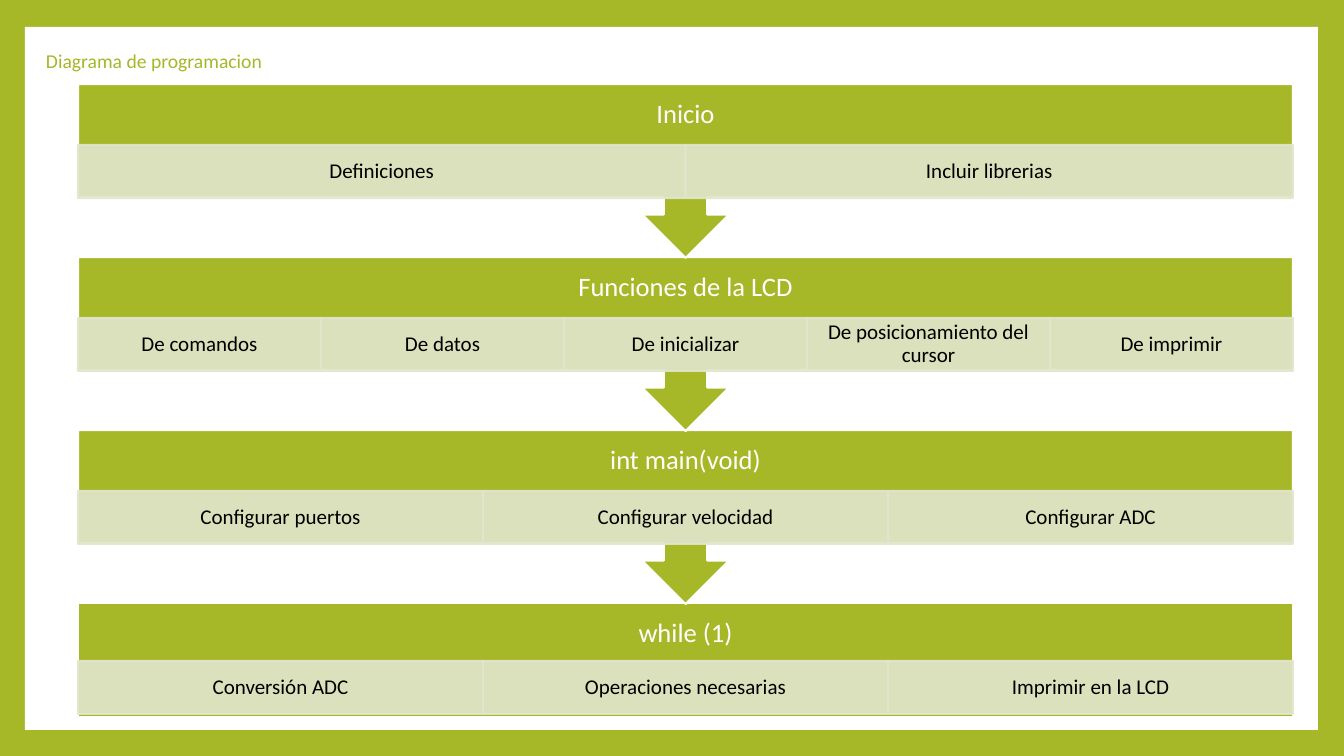
from dataclasses import dataclass

from lxml import etree
from pptx import Presentation
from pptx import util as u
from pptx.dml.color import RGBColor
from pptx.enum import shapes, text
from pptx.oxml.ns import qn

SCALE = 914400 / 100.8
BAR, CELL, STEP = 61, 53, 173


@dataclass(frozen=True)
class Theme:
    font: str = "Calibri"
    green: str = "A6B727"
    pale: str = "E1E6CD"
    white: str = "FFFFFF"
    black: str = "000000"
    title: int = 14
    head: int = 19
    item: int = 15


THEME = Theme()

STAGES = [
    ("Inicio", ["Definiciones", "Incluir librerias"]),
    ("Funciones de la LCD", ["De comandos", "De datos", "De inicializar",
                             "De posicionamiento del cursor", "De imprimir"]),
    ("int main(void)", ["Configurar puertos", "Configurar velocidad", "Configurar ADC"]),
    ("while (1)", ["Conversión ADC", "Operaciones necesarias", "Imprimir en la LCD"]),
]


def px(*sizes):
    return [u.Emu(round(size * SCALE)) for size in sizes]


def write(shape, words, size, color, align=text.PP_ALIGN.CENTER, pad=(10, 5)):
    frame = shape.text_frame
    frame.word_wrap = True
    frame.auto_size = text.MSO_AUTO_SIZE.NONE
    frame.vertical_anchor = text.MSO_ANCHOR.MIDDLE
    frame.margin_left = frame.margin_right = px(pad[0])[0]
    frame.margin_top = frame.margin_bottom = px(pad[1])[0]
    para = frame.paragraphs[0]
    para.alignment = align
    para.line_spacing = 0.9
    run = para.add_run()
    run.text = words
    run.font.name = THEME.font
    run.font.size = u.Pt(size)
    run.font.color.rgb = RGBColor.from_string(color)


def block(slide, kind, box, fill, line=None, alpha=None):
    shape = slide.shapes.add_shape(kind, *px(*box))
    shape.shadow.inherit = False
    shape.fill.solid()
    shape.fill.fore_color.rgb = RGBColor.from_string(fill)
    if line:
        shape.line.color.rgb = RGBColor.from_string(line)
        shape.line.width = u.Pt(1.5)
    else:
        shape.line.fill.background()
    if alpha:
        for color in shape._element.spPr.iter(qn("a:srgbClr")):
            etree.SubElement(color, qn("a:alpha"), val=str(alpha * 1000))
    return shape


def frame(slide, box):
    slide.background.fill.solid()
    slide.background.fill.fore_color.rgb = RGBColor.from_string(THEME.green)
    panel = block(slide, shapes.MSO_SHAPE.RECTANGLE, box, THEME.white)
    slide.shapes._spTree.insert(2, panel._element)


def heading(slide, box, words):
    title = slide.shapes.title
    title.left, title.top, title.width, title.height = px(*box)
    write(title, words, THEME.title, THEME.green, align=text.PP_ALIGN.LEFT)


def stage(slide, box, words, items, last):
    left, top, width, height = box
    if last:
        block(slide, shapes.MSO_SHAPE.RECTANGLE, box, THEME.green, line=THEME.white)
    else:
        arrow = block(slide, shapes.MSO_SHAPE.UP_ARROW_CALLOUT, box,
                      THEME.green, line=THEME.white)
        arrow.rotation = 180
        for spot, value in enumerate((0.25, 0.25, 0.25, 0.65)):
            arrow.adjustments[spot] = value
    label = slide.shapes.add_textbox(*px(left, top, width, BAR))
    write(label, words, THEME.head, THEME.white, pad=(15, 15))
    row = top + (height - CELL - 3 if last else BAR)
    wide = width / len(items)
    for spot, item in enumerate(items):
        cell = block(slide, shapes.MSO_SHAPE.RECTANGLE,
                     (left + spot * wide, row, wide, CELL),
                     THEME.pale, line=THEME.pale, alpha=90)
        write(cell, item, THEME.item, THEME.black, pad=(12, 2))


def flow(slide, box):
    left, top, width, height = box
    end = len(STAGES) - 1
    for spot, (words, items) in reversed(list(enumerate(STAGES))):
        last = spot == end
        tall = height - end * STEP if last else STEP + 1
        stage(slide, (left, top + spot * STEP, width, tall), words, items, last)


def main():
    deck = Presentation()
    deck.slide_width, deck.slide_height = px(1344, 756)
    slide = deck.slides.add_slide(deck.slide_layouts[5])
    frame(slide, (25, 27, 1293, 703))
    heading(slide, (36, 40, 314, 44), "Diagrama de programacion")
    flow(slide, (78, 84, 1215, 633))
    deck.save("out.pptx")


if __name__ == "__main__":
    main()
